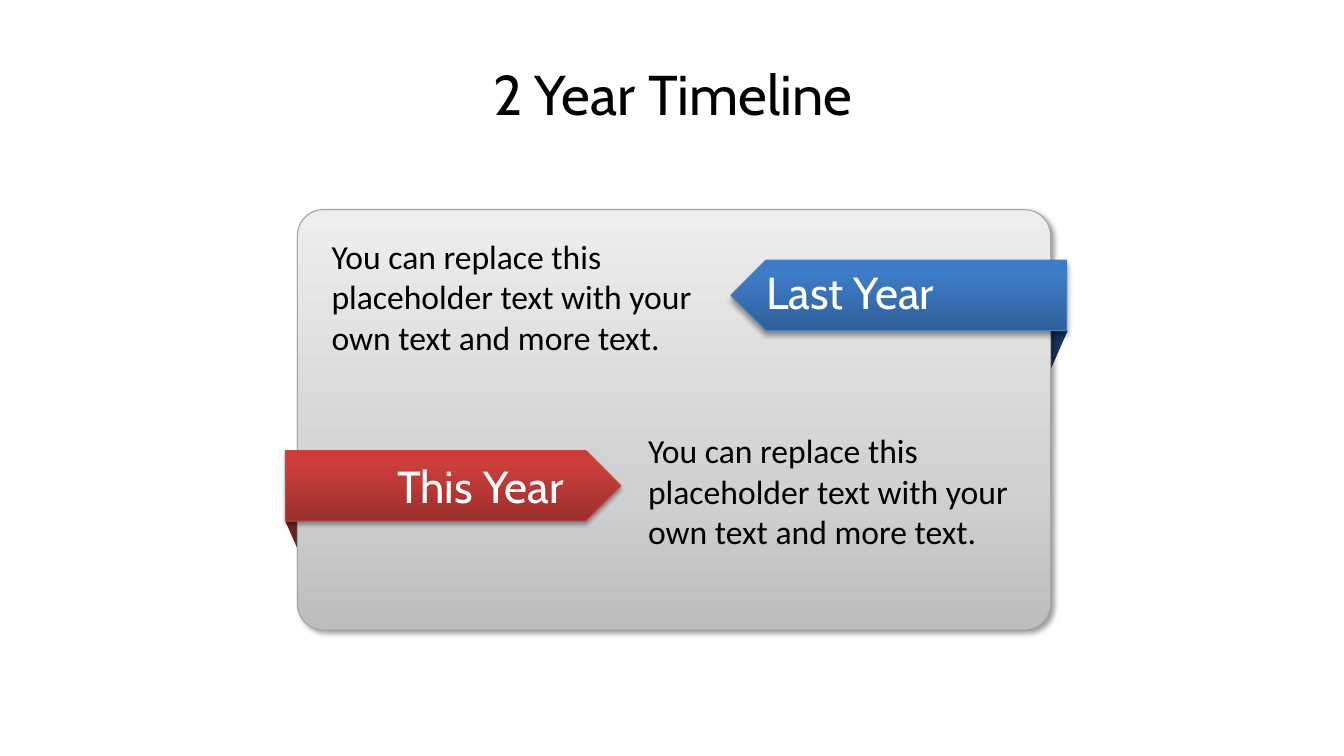
from copy import deepcopy

from lxml import etree
from pptx import Presentation
from pptx.dml.color import RGBColor
from pptx.enum import shapes, text
from pptx.oxml.ns import qn
from pptx.util import Inches, Pt

BLACK = RGBColor(0x00, 0x00, 0x00)
WHITE = RGBColor(0xFF, 0xFF, 0xFF)
GREY_LINE = RGBColor(0xA6, 0xA6, 0xA6)
BLUE_LINE = RGBColor(0x4B, 0x7E, 0xBC)
RED_LINE = RGBColor(0xBF, 0x4C, 0x48)
BLUE_FOLD = RGBColor(0x17, 0x37, 0x5E)
RED_FOLD = RGBColor(0x63, 0x25, 0x23)
GREYS = [(0, RGBColor(0xBD, 0xBD, 0xBD)), (0.35, RGBColor(0xD1, 0xD1, 0xD1)),
         (1, RGBColor(0xEE, 0xEE, 0xEE))]
BLUES = [(0, RGBColor(0x2F, 0x5F, 0x99)), (0.8, RGBColor(0x3D, 0x7C, 0xC7)),
         (1, RGBColor(0x3A, 0x7C, 0xCB))]
REDS = [(0, RGBColor(0x9C, 0x2F, 0x2D)), (0.8, RGBColor(0xCB, 0x3E, 0x3A)),
        (1, RGBColor(0xCE, 0x3B, 0x37))]

KINDS = shapes.MSO_SHAPE
ALIGN = text.PP_ALIGN
BODY = "You can replace this placeholder text with your own text and more text."

prs = Presentation()
prs.slide_width, prs.slide_height = Inches(13.33), Inches(7.5)
slide = prs.slides.add_slide(prs.slide_layouts[5])


def add_figure(kind, box, fill, line=None, adjust=None, flip=(), shadow=None):
    """fill is a colour or gradient stops from the bottom up;
    shadow is opacity %, blur pt, distance pt, direction in degrees."""
    figure = slide.shapes.add_shape(kind, *map(Inches, box))
    if adjust is not None:
        figure.adjustments[0] = adjust
    for axis in flip:
        figure.element.spPr.find(qn("a:xfrm")).set("flip" + axis, "1")
    if isinstance(fill, RGBColor):
        figure.fill.solid()
        figure.fill.fore_color.rgb = fill
    else:
        figure.fill.gradient()
        figure.fill.gradient_angle = 90
        stop_list = figure.element.spPr.find(".//" + qn("a:gsLst"))
        stop_list.append(deepcopy(stop_list[0]))
        for stop, (position, color) in zip(figure.fill.gradient_stops, fill):
            stop.position = position
            stop.color.rgb = color
    if line is None:
        figure.line.fill.background()
    else:
        figure.line.color.rgb = line
        figure.line.width = Pt(0.75)
    figure.shadow.inherit = False
    if shadow:
        opacity, blur, distance, direction = shadow
        outer = etree.SubElement(
            figure.element.spPr.find(qn("a:effectLst")), qn("a:outerShdw"),
            blurRad=str(Pt(blur)), dist=str(Pt(distance)),
            dir=str(direction * 60000), algn="ctr", rotWithShape="0")
        shade = etree.SubElement(outer, qn("a:srgbClr"), val="000000")
        etree.SubElement(shade, qn("a:alpha"), val=str(opacity * 1000))


def write(wording, box, size, font="Cabin", color=BLACK, align=ALIGN.LEFT, holder=None):
    holder = holder or slide.shapes.add_textbox(0, 0, 0, 0)
    holder.left, holder.top, holder.width, holder.height = map(Inches, box)
    frame = holder.text_frame
    frame.word_wrap = True
    frame.text = wording
    paragraph = frame.paragraphs[0]
    paragraph.alignment = align
    paragraph.font.size = Pt(size)
    paragraph.font.name = font
    paragraph.font.color.rgb = color
    return frame


title = write("2 Year Timeline", (0.67, 0.3, 12, 1.25), 40, align=ALIGN.CENTER,
              holder=slide.shapes.title)
title.vertical_anchor = text.MSO_ANCHOR.MIDDLE

# Ribbon folds sit behind the panel
for left, top, color, flip in [(2.83, 5.17, RED_FOLD, "HV"), (7.51, 3.28, BLUE_FOLD, "V")]:
    add_figure(KINDS.TRAPEZOID, (left, top, 3.08, 0.39), color, adjust=0.439, flip=flip)

add_figure(KINDS.ROUNDED_RECTANGLE, (2.95, 2.08, 7.47, 4.17), GREYS, GREY_LINE,
           adjust=0.062, shadow=(40, 4, 3, 45))

years = [
    ("Last Year", (7.25, 2.58), BLUES, BLUE_LINE, "H", (40, 4, 3, 90),
     (7.5, 2.58, 2, 0.64), ALIGN.LEFT, (3.19, 2.29)),
    ("This Year", (2.83, 4.47), REDS, RED_LINE, "", (35, 3.1, 1.8, 90),
     (3.83, 4.5, 1.86, 0.64), ALIGN.RIGHT, (6.33, 4.22)),
]
for year, ribbon, stops, line, flip, shadow, label_box, align, body in years:
    add_figure(KINDS.PENTAGON, (*ribbon, 3.33, 0.7), stops, line, flip=flip, shadow=shadow)
    for frame in (write(year, label_box, 32, color=WHITE, align=align),
                  write(BODY, (*body, 4, 1.31), 24, font="Calibri")):
        frame.auto_size = text.MSO_AUTO_SIZE.SHAPE_TO_FIT_TEXT

prs.save("out.pptx")
